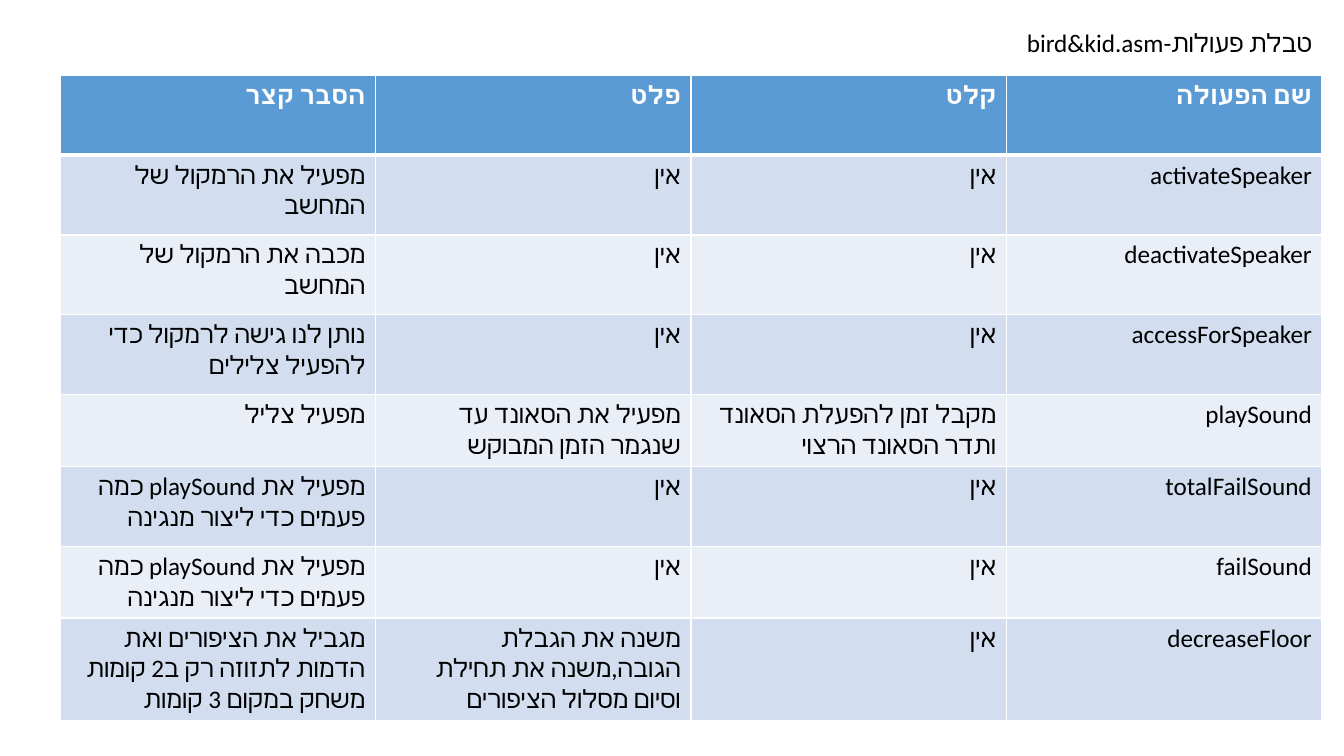
from lxml.etree import SubElement
from pptx import Presentation
from pptx.dml.color import RGBColor
from pptx.enum.text import MSO_ANCHOR, MSO_AUTO_SIZE, PP_ALIGN
from pptx.oxml import parse_xml
from pptx.oxml.ns import nsdecls, qn
from pptx.util import Pt

EMU_PER_PIXEL = 914400 / 100.8
FONT = "Calibri"
WHITE, BLACK, HEADER_BLUE = "FFFFFF", "000000", "5B9BD5"
BANDS = ["D2DEEF", "EAEFF7"]
TITLE = "טבלת פעולות-bird&kid.asm"
NONE = "אין"
MELODY = "מפעיל את playSound כמה פעמים כדי ליצור מנגינה"
ROWS = [
    (80, ["הסבר קצר", "פלט", "קלט", "שם הפעולה"]),
    (80, ["מפעיל את הרמקול של המחשב", NONE, NONE, "activateSpeaker"]),
    (80, ["מכבה את הרמקול של המחשב", NONE, NONE, "deactivateSpeaker"]),
    (80, ["נותן לנו גישה לרמקול כדי להפעיל צלילים", NONE, NONE, "accessForSpeaker"]),
    (61, ["מפעיל צליל", "מפעיל את הסאונד עד שנגמר הזמן המבוקש",
          "מקבל זמן להפעלת הסאונד ותדר הסאונד הרצוי", "playSound"]),
    (80, [MELODY, NONE, NONE, "totalFailSound"]),
    (66, [MELODY, NONE, NONE, "failSound"]),
    (86, ["מגביל את הציפורים ואת הדמות לתזוזה רק ב2 קומות משחק במקום 3 קומות",
          "משנה את הגבלת הגובה,משנה את תחילת וסיום מסלול הציפורים",
          NONE, "decreaseFloor"]),
]


def px(length):
    """Turn pixels into EMU."""
    return round(length * EMU_PER_PIXEL)


def color(code):
    """Turn a hex string into a colour."""
    return RGBColor.from_string(code)


def write(frame, text, ink=BLACK, bold=False, spacing=1.0):
    """Write one right-to-left paragraph into a text frame."""
    para = frame.paragraphs[0]
    para.alignment = PP_ALIGN.RIGHT
    para.line_spacing = spacing
    para._p.get_or_add_pPr().set("rtl", "1")
    span = para.add_run()
    span.text = text
    span.font.name = FONT
    span.font.size = Pt(18)
    span.font.bold = bold
    span.font.color.rgb = color(ink)
    SubElement(span.font._element, qn("a:cs")).set("typeface", FONT)


def add_borders(cell, top=1, bottom=1):
    """Give a cell white borders with the given widths in points."""
    properties = cell._tc.get_or_add_tcPr()
    widths = {"lnL": 1, "lnR": 1, "lnT": top, "lnB": bottom}
    for index, (side, width) in enumerate(widths.items()):
        properties.insert(index, parse_xml(
            f'<a:{side} {nsdecls("a")} w="{Pt(width)}"><a:solidFill>'
            f'<a:srgbClr val="{WHITE}"/></a:solidFill></a:{side}>'))


def add_title(page, left, top, width, height):
    """Place the slide title in its box."""
    title = page.shapes.title
    title.left, title.top = px(left), px(top)
    title.width, title.height = px(width), px(height)
    frame = title.text_frame
    frame.word_wrap = True
    frame.auto_size = MSO_AUTO_SIZE.NONE
    frame.vertical_anchor = MSO_ANCHOR.MIDDLE
    write(frame, TITLE, spacing=0.9)


def add_procedures(page, left, top, width):
    """Place the table of procedures at the given corner and width."""
    height = sum(row_height for row_height, _ in ROWS)
    columns = len(ROWS[0][1])
    table = page.shapes.add_table(
        len(ROWS), columns, px(left), px(top), px(width), px(height)).table
    for column in table.columns:
        column.width = px(width / columns)
    for row, (row_height, texts) in enumerate(ROWS):
        table.rows[row].height = px(row_height)
        header = row == 0
        for column, text in enumerate(texts):
            cell = table.cell(row, column)
            cell.fill.solid()
            cell.fill.fore_color.rgb = color(HEADER_BLUE if header else BANDS[(row - 1) % 2])
            add_borders(cell, top=3 if row == 1 else 1, bottom=3 if header else 1)
            write(cell.text_frame, text, ink=WHITE if header else BLACK, bold=header)


def main():
    """Build the deck and save it."""
    deck = Presentation()
    deck.slide_width, deck.slide_height = px(1344), px(756)
    page = deck.slides.add_slide(deck.slide_layouts[5])
    page.background.fill.solid()
    page.background.fill.fore_color.rgb = color(WHITE)
    add_title(page, 152, 0, 1170, 88)
    add_procedures(page, 60, 75, 1262)
    deck.save("out.pptx")


if __name__ == "__main__":
    main()
